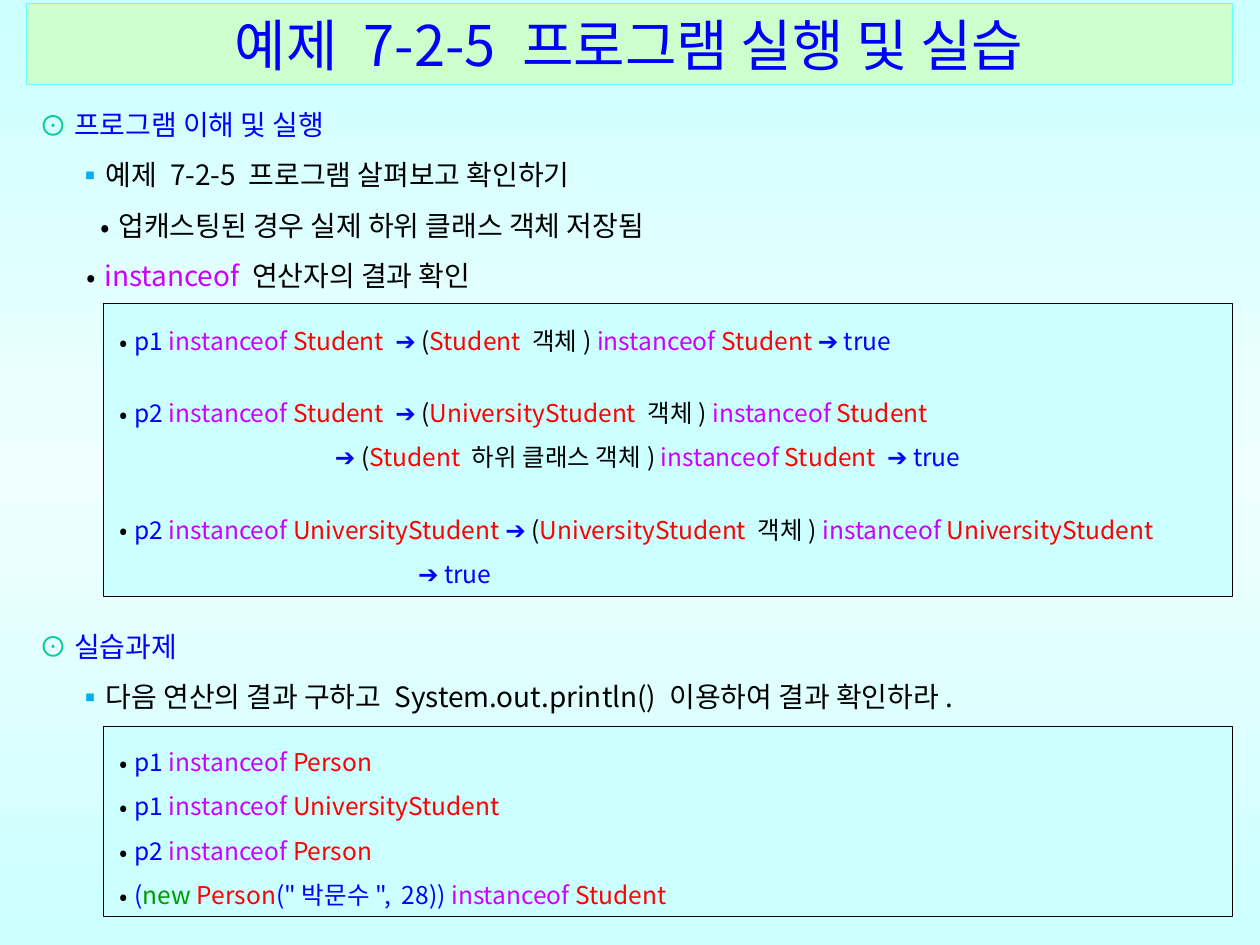
from copy import deepcopy
from dataclasses import dataclass

from lxml import etree
from pptx import Presentation
from pptx.dml.color import RGBColor
from pptx.enum.shapes import MSO_SHAPE
from pptx.enum.text import MSO_ANCHOR, MSO_AUTO_SIZE, PP_ALIGN
from pptx.oxml.ns import qn
from pptx.shapes.base import BaseShape
from pptx.slide import Slide
from pptx.text.text import TextFrame
from pptx.util import Inches, Pt

RECTANGLE = MSO_SHAPE.RECTANGLE
TOP, MIDDLE = MSO_ANCHOR.TOP, MSO_ANCHOR.MIDDLE
CENTER, LEFT = PP_ALIGN.CENTER, PP_ALIGN.LEFT
NO_AUTOFIT = MSO_AUTO_SIZE.NONE

FONT = "Noto Sans CJK KR"
BLACK = RGBColor(0x00, 0x00, 0x00)
BLUE = RGBColor(0x00, 0x00, 0xFF)
RED = RGBColor(0xFF, 0x00, 0x00)
PURPLE = RGBColor(0xCC, 0x00, 0xFF)
GREEN = RGBColor(0x00, 0x99, 0x00)
TEAL = RGBColor(0x00, 0xCC, 0x99)
SKY = RGBColor(0x00, 0xB0, 0xF0)
AQUA = RGBColor(0x66, 0xFF, 0xFF)
PALE_GREEN = RGBColor(0xCC, 0xFF, 0xCC)
PALE_CYAN = RGBColor(0xCC, 0xFF, 0xFF)
NEAR_WHITE = RGBColor(0xF0, 0xFF, 0xFF)


@dataclass(frozen=True)
class Span:
    text: str
    color: RGBColor = BLACK


@dataclass(frozen=True)
class Style:
    """Bullet and text offsets are inches from the left inset of the box."""
    bullet: str
    bullet_color: RGBColor
    bullet_left: float
    text_left: float


@dataclass(frozen=True)
class Line:
    style: Style
    spans: tuple[Span, ...]
    gap_before: float = 0
    spacing: float | Pt = 1.5


HEADING = Style("⊙", TEAL, 0, 0.28)
TASK = Style("▪", SKY, 0.3, 0.53)
DETAIL = Style("•", BLACK, 0.49, 0.63)
OPERATOR = Style("•", BLACK, 0.38, 0.52)
EXPRESSION = Style("•", BLACK, 0.03, 0.15)
RESULT = Style("", BLACK, 1.74, 1.74)
LATE_RESULT = Style("", BLACK, 2.4, 2.4)

INSTANCEOF = Span("instanceof ", PURPLE)
ARROW = Span("➔", BLUE)
OPEN = Span(" (")
OBJECT = Span("객체) ")
TRUE = Span("➔ true", BLUE)
GROUP_GAP = 16


def check(variable: str, class_name: str) -> tuple[Span, ...]:
    return Span(f"{variable} ", BLUE), INSTANCEOF, Span(class_name, RED)


TITLE = (Span("예제 7-2-5 프로그램 실행 및 실습", BLUE),)
REVIEW_LINES = (
    Line(HEADING, (Span("프로그램 이해 및 실행", BLUE),)),
    Line(TASK, (Span("예제 7-2-5 프로그램 살펴보고 확인하기"),)),
    Line(DETAIL, (Span("업캐스팅된 경우 실제 하위 클래스 객체 저장됨"),)),
    Line(OPERATOR, (INSTANCEOF, Span("연산자의 결과 확인"))),
)
EXERCISE_LINES = (
    Line(HEADING, (Span("실습과제", BLUE),), spacing=Pt(23)),
    Line(TASK, (Span("다음 연산의 결과 구하고 System.out.println() 이용하여 결과 확인하라."),)),
)
RESULT_LINES = (
    Line(EXPRESSION, (*check("p1", "Student  "), ARROW, OPEN, Span("Student ", RED),
                      OBJECT, INSTANCEOF, Span("Student ", RED), TRUE)),
    Line(EXPRESSION, (*check("p2", "Student  "), ARROW, OPEN,
                      Span("UniversityStudent ", RED), OBJECT, INSTANCEOF,
                      Span("Student", RED)), GROUP_GAP),
    Line(RESULT, (Span("➔ ", BLUE), Span("("), Span("Student ", RED),
                  Span("하위 클래스 객체) "), INSTANCEOF, Span("Student  ", RED), TRUE)),
    Line(EXPRESSION, (*check("p2", "UniversityStudent "), ARROW, OPEN,
                      Span("UniversityStudent ", RED), OBJECT, INSTANCEOF,
                      Span("UniversityStudent", RED)), GROUP_GAP),
    Line(LATE_RESULT, (TRUE,)),
)
PRACTICE_LINES = (
    Line(EXPRESSION, check("p1", "Person")),
    Line(EXPRESSION, check("p1", "UniversityStudent")),
    Line(EXPRESSION, check("p2", "Person")),
    Line(EXPRESSION, (Span("(", BLUE), Span("new ", GREEN), Span("Person", RED),
                      Span('("박문수",  28)) ', BLUE), INSTANCEOF, Span("Student", RED))),
)


def add_spans(paragraph, spans: tuple[Span, ...], size: float) -> None:
    for span in spans:
        run = paragraph.add_run()
        run.text = span.text
        run.font.size = Pt(size)
        run.font.name = FONT
        run.font.color.rgb = span.color
        etree.SubElement(run.font._element, qn("a:ea"), typeface=FONT)


def set_bullet(paragraph, style: Style) -> None:
    properties = paragraph._p.get_or_add_pPr()
    properties.set("marL", str(Inches(style.text_left)))
    properties.set("indent", str(Inches(style.bullet_left - style.text_left)))
    if not style.bullet:
        etree.SubElement(properties, qn("a:buNone"))
        return
    color = etree.SubElement(properties, qn("a:buClr"))
    etree.SubElement(color, qn("a:srgbClr"), val=str(style.bullet_color))
    etree.SubElement(properties, qn("a:buFont"), typeface=FONT)
    etree.SubElement(properties, qn("a:buChar"), char=style.bullet)


def write_lines(frame: TextFrame, lines: tuple[Line, ...], size: float,
                anchor: MSO_ANCHOR) -> None:
    frame.word_wrap = True
    frame.auto_size = NO_AUTOFIT
    frame.vertical_anchor = anchor
    for index, line in enumerate(lines):
        paragraph = frame.add_paragraph() if index else frame.paragraphs[0]
        paragraph.alignment = LEFT
        paragraph.line_spacing = line.spacing
        paragraph.space_before = Pt(line.gap_before)
        set_bullet(paragraph, line.style)
        add_spans(paragraph, line.spans, size)


def place(shape: BaseShape, left: float, top: float, width: float, height: float) -> None:
    shape.left, shape.top = Inches(left), Inches(top)
    shape.width, shape.height = Inches(width), Inches(height)


def paint(shape, fill: RGBColor, line: RGBColor, line_width: float) -> None:
    shape.fill.solid()
    shape.fill.fore_color.rgb = fill
    shape.line.color.rgb = line
    shape.line.width = Pt(line_width)


def add_code_box(slide: Slide, top: float, height: float, lines: tuple[Line, ...]) -> None:
    box = slide.shapes.add_shape(RECTANGLE, Inches(0.82), Inches(top),
                                 Inches(8.96), Inches(height))
    box.shadow.inherit = False
    paint(box, PALE_CYAN, BLACK, 0.25)
    write_lines(box.text_frame, lines, 14, MIDDLE)


def paint_background(slide: Slide) -> None:
    fill = slide.background.fill
    fill.gradient()
    fill.gradient_angle = 90
    first = fill.gradient_stops[0]._gs
    first.addnext(deepcopy(first))
    colors = (PALE_CYAN, NEAR_WHITE, PALE_CYAN)
    for stop, color, position in zip(fill.gradient_stops, colors, (0, 0.5, 1)):
        stop.color.rgb = color
        stop.position = position


def main() -> None:
    presentation = Presentation()
    presentation.slide_width, presentation.slide_height = Inches(10), Inches(7.5)
    slide = presentation.slides.add_slide(presentation.slide_layouts[3])
    paint_background(slide)

    title, review, exercise = list(slide.placeholders)[:3]
    place(title, 0.21, 0.03, 9.57, 0.64)
    paint(title, PALE_GREEN, AQUA, 0.75)
    title.text_frame.auto_size = NO_AUTOFIT
    title.text_frame.vertical_anchor = MIDDLE
    title.text_frame.paragraphs[0].alignment = CENTER
    add_spans(title.text_frame.paragraphs[0], TITLE, 32)

    place(review, 0.21, 0.67, 9.65, 1.7)
    write_lines(review.text_frame, REVIEW_LINES, 16, TOP)
    place(exercise, 0.21, 4.89, 9.65, 0.85)
    write_lines(exercise.text_frame, EXERCISE_LINES, 16, TOP)

    add_code_box(slide, 2.41, 2.32, RESULT_LINES)
    add_code_box(slide, 5.76, 1.51, PRACTICE_LINES)
    presentation.save("out.pptx")


if __name__ == "__main__":
    main()
